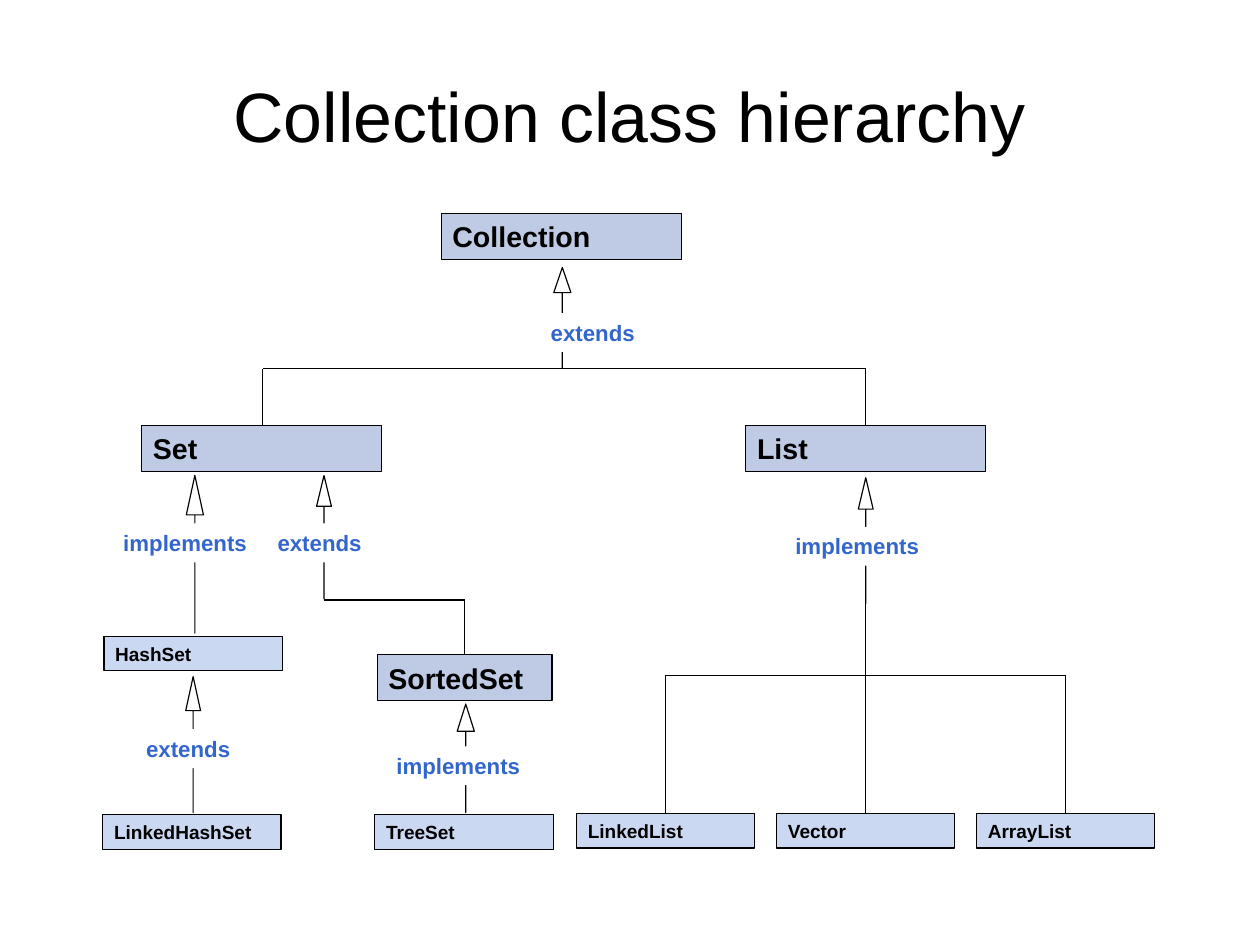
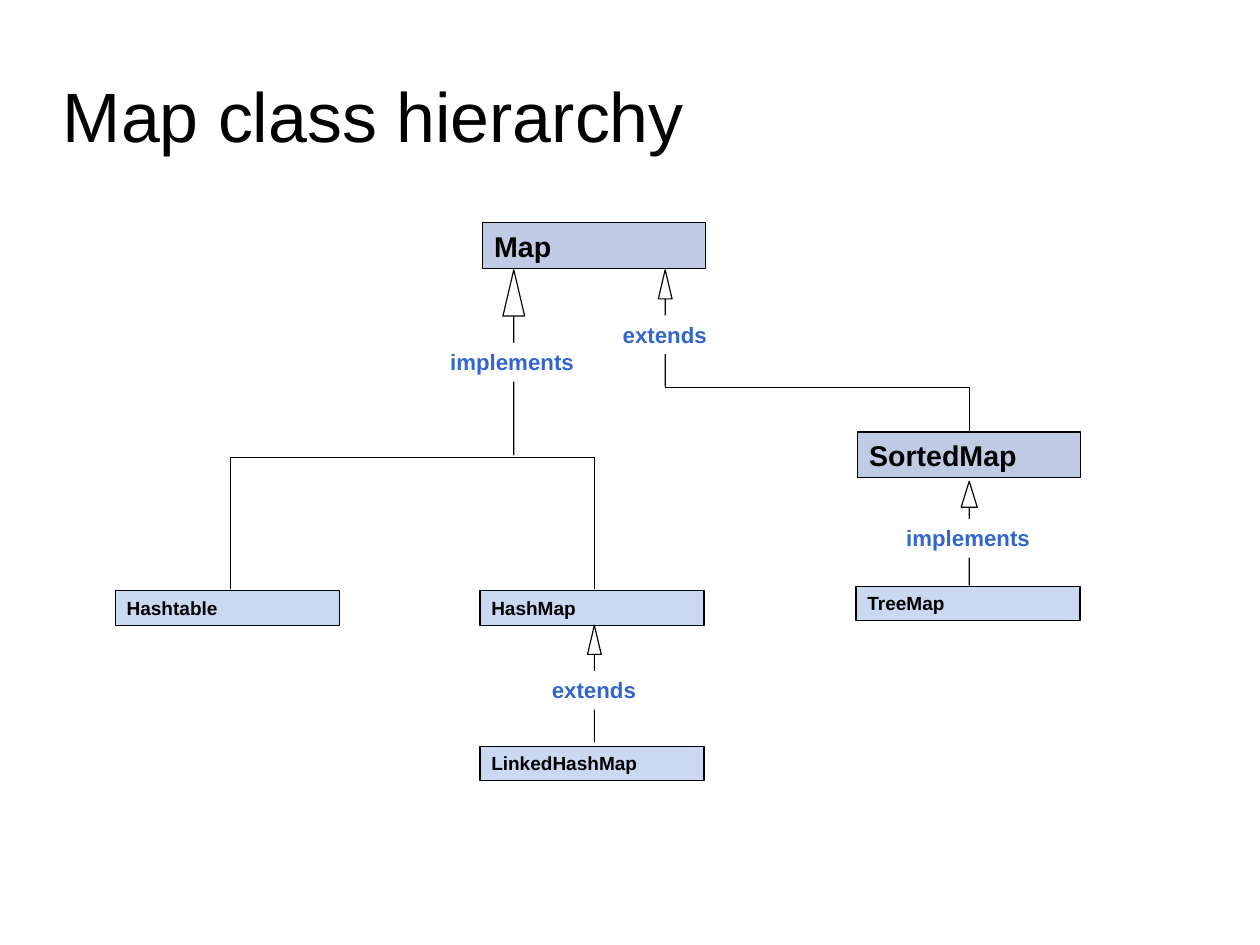
from dataclasses import dataclass
from lxml.etree import SubElement as Sub
from pptx import Presentation
from pptx.dml.color import RGBColor as Color
from pptx.enum.shapes import MSO_CONNECTOR as Link, MSO_SHAPE as Form
from pptx.enum.text import MSO_ANCHOR as Anchor, PP_ALIGN as Align
from pptx.oxml.ns import qn
from pptx.util import Cm, Inches, Pt


@dataclass(frozen=True)
class Theme:
    font: str = "Arial"
    ink: Color = Color(0, 0, 0)
    paper: Color = Color(255, 255, 255)
    navy: Color = Color(0x00, 0x33, 0x99)
    blue: Color = Color(0x33, 0x66, 0xCC)
    tint: int = 25000
    line: float = 0.75
    title: int = 44
    type: int = 18
    leaf: int = 12
    label: int = 14


@dataclass(frozen=True)
class Kind:
    fill: Color
    size: int
    high: float


THEME = Theme()
TYPE = Kind(THEME.navy, THEME.type, 4)
LEAF = Kind(THEME.blue, THEME.leaf, 3)
SPAN = {"extends": 10, "implements": 13}
TALL = 3.4


def grid(cells):
    return Inches(cells / 10)


def area(left, top, wide, high):
    return [grid(n) for n in (left, top, wide, high)]


def style(para, size, color, bold=True):
    font = para.font
    font.name, font.size, font.bold = THEME.font, Pt(size), bold
    font.color.rgb = color


def write(shape, text, size, color):
    frame = shape.text_frame
    frame.word_wrap = True
    frame.vertical_anchor = Anchor.TOP
    frame.margin_left = frame.margin_right = grid(1)
    frame.margin_top = frame.margin_bottom = grid(0.5)
    para = frame.paragraphs[0]
    para.text, para.alignment = text, Align.LEFT
    style(para, size, color)


def shape(slide, form, spot, fill):
    item = slide.shapes.add_shape(form, *spot)
    item.shadow.inherit = False
    item.fill.solid()
    item.fill.fore_color.rgb = fill
    item.line.color.rgb = THEME.ink
    item.line.width = Pt(THEME.line)
    return item


def box(slide, kind, text, mid, top, wide):
    spot = area(mid - wide / 2, top, wide, kind.high)
    item = shape(slide, Form.RECTANGLE, spot, kind.fill)
    tone = item.element.spPr.find(qn("a:solidFill")).find(qn("a:srgbClr"))
    Sub(tone, qn("a:alpha")).set("val", str(THEME.tint))
    write(item, text, kind.size, THEME.ink)


def arrow(slide, mid, top, foot, wide, text, left, row):
    high = foot - top
    spot = area(mid - wide / 2, top, wide, high)
    item = shape(slide, Form.UP_ARROW, spot, THEME.paper)
    item.adjustments[0] = 0
    item.adjustments[1] = high / wide / 4
    tag = slide.shapes.add_textbox(*area(left, row, SPAN[text], TALL))
    tag.fill.solid()
    tag.fill.fore_color.rgb = THEME.paper
    write(tag, text, THEME.label, THEME.blue)


def line(slide, *ends):
    item = slide.shapes.add_connector(Link.STRAIGHT, *[grid(n) for n in ends])
    item.line.color.rgb = THEME.ink
    item.line.width = Pt(THEME.line)
    Sub(item.element.spPr, qn("a:effectLst"))


def fork(slide, left, right, row, foot, drops):
    if left != right:
        line(slide, left, row, right, row)
    for x in drops:
        line(slide, x, row, x, foot)


def page(deck, text, align):
    slide = deck.slides.add_slide(deck.slide_layouts[5])
    head = slide.shapes.title
    head.left, head.top, head.width, head.height = area(5.5, 3.3, 99.2, 13.8)
    frame = head.text_frame
    frame.vertical_anchor = Anchor.MIDDLE
    frame.margin_left = frame.margin_right = frame.margin_bottom = 0
    frame.margin_top = grid(0.4)
    para = frame.paragraphs[0]
    para.text, para.alignment, para.line_spacing = text, align, 0.93
    style(para, THEME.title, THEME.ink, False)
    return slide


def fill(slide, arrows, forks, boxes):
    for draw, rows in ((arrow, arrows), (fork, forks), (box, boxes)):
        for row in rows:
            draw(slide, *row)


def lists(deck):
    hash_x, set_x, sort_x, top_x = 16.9, 22.9, 40.65, 49.1
    first, pitch = 58.25, 17.5
    leaves = [first + pitch * n for n in range(3)]
    list_x, last = leaves[1:]
    mid, low, wide = 37.25, 71.2, 15.6
    names = ("LinkedList", "Vector", "ArrayList")
    fill(
        page(deck, "Collection class hierarchy", Align.CENTER),
        [
            (top_x + 0.1, 23.4, 32.2, 1.5, "extends", 47.2, 27.4),
            (17.05, 41.6, 55.4, 1.5, "implements", 9.8, 45.8),
            (28.35, 41.6, 52.4, 1.3, "extends", 23.3, 45.8),
            (list_x, 41.8, 52.8, 1.3, "implements", 68.6, 46.1),
            (hash_x, 59.2, 71.1, 1.3, "extends", 11.8, 63.8),
            (sort_x + 0.1, 61.6, 71.1, 1.5, "implements", 33.7, 65.3),
        ],
        [
            (set_x + 0.1, list_x, 32.25, mid, (set_x + 0.1, list_x)),
            (28.35, sort_x, 52.5, 57.2, (sort_x,)),
            (first, last, 59.1, low, leaves),
            (list_x, list_x, 52.5, 59.1, (list_x,)),
        ],
        [
            (TYPE, "Collection", top_x, 18.7, 21),
            (TYPE, "Set", set_x, mid, 21),
            (TYPE, "List", list_x, mid, 21),
            (LEAF, "HashSet", hash_x, 55.7, wide),
            (TYPE, "SortedSet", sort_x, 57.3, 15.3),
            (LEAF, "LinkedHashSet", hash_x - 0.1, 71.3, wide),
            (LEAF, "TreeSet", sort_x - 0.05, 71.3, wide),
            *[(LEAF, name, x, low, wide) for name, x in zip(names, leaves)],
        ],
    )


def maps(deck):
    table_x, hash_x, sort_x = 20.2, 52, 84.8
    wide, low = 19.6, 51.7
    fill(
        page(deck, "Map class hierarchy", Align.LEFT),
        [
            (44.95, 23.6, 39.8, 1.9, "implements", 38.4, 30),
            (58.2, 23.6, 33.8, 1.2, "extends", 53.5, 27.6),
            (sort_x, 42.1, 51.2, 1.4, "implements", 78.3, 45.4),
            (hash_x, 54.7, 64.9, 1.2, "extends", 47.3, 58.7),
        ],
        [
            (table_x, hash_x, 40, 51.5, (table_x, hash_x)),
            (58.2, sort_x, 33.9, 37.9, (sort_x,)),
        ],
        [
            (TYPE, "Map", hash_x, 19.5, 19.5),
            (TYPE, "SortedMap", sort_x, 37.8, 19.5),
            (LEAF, "Hashtable", table_x - 0.3, low, wide),
            (LEAF, "HashMap", hash_x - 0.2, low, wide),
            (LEAF, "TreeMap", sort_x - 0.1, 51.3, wide),
            (LEAF, "LinkedHashMap", hash_x - 0.2, 65.3, wide),
        ],
    )


def main():
    deck = Presentation()
    deck.slide_width, deck.slide_height = Cm(28), Cm(21)
    lists(deck)
    maps(deck)
    deck.save("out.pptx")


if __name__ == "__main__":
    main()
